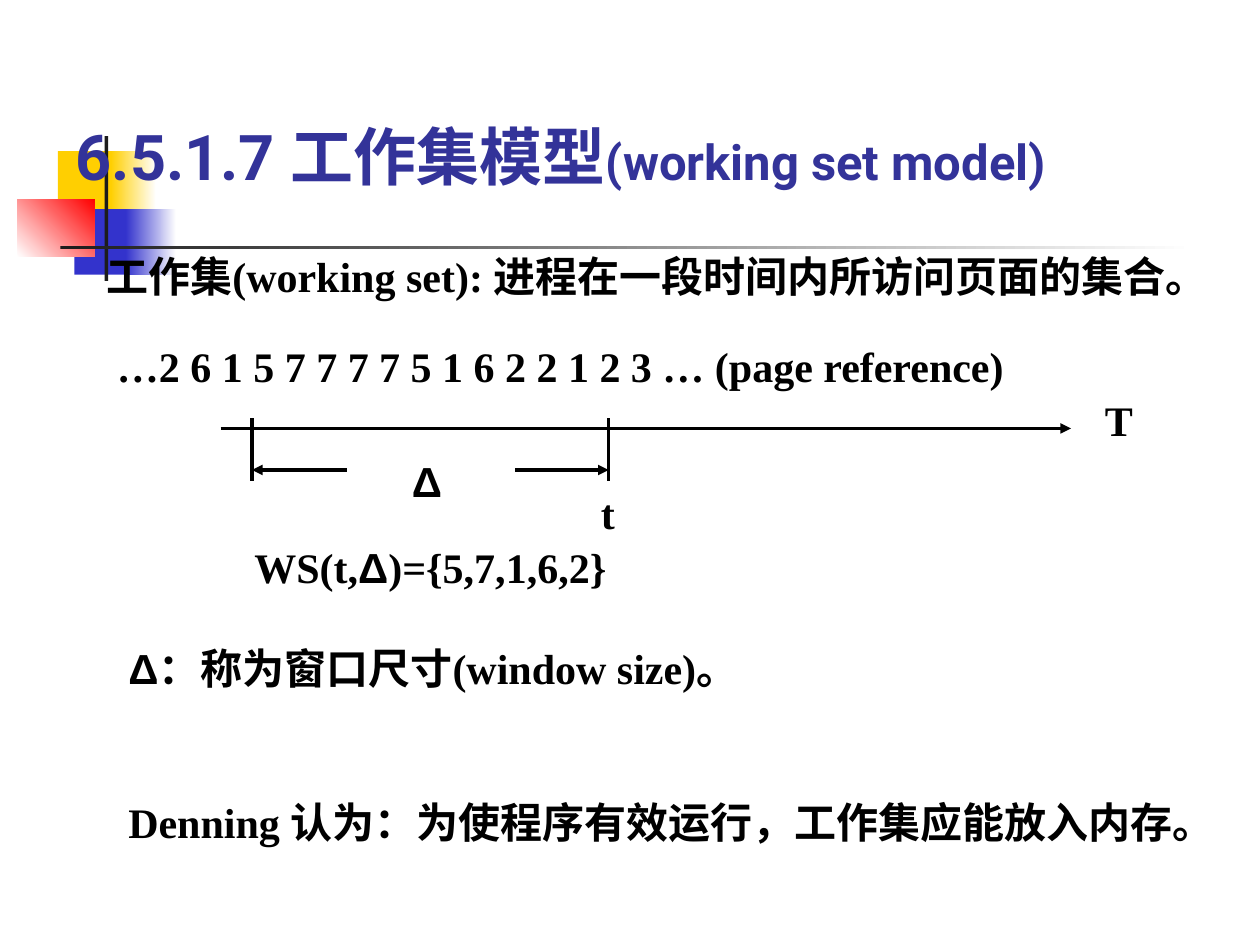
from dataclasses import dataclass

from lxml import etree
from pptx import Presentation
from pptx.dml.color import RGBColor
from pptx.enum.shapes import MSO_CONNECTOR, MSO_SHAPE
from pptx.enum.text import MSO_ANCHOR, PP_ALIGN
from pptx.oxml.ns import qn
from pptx.util import Inches, Pt

RECTANGLE = MSO_SHAPE.RECTANGLE
STRAIGHT = MSO_CONNECTOR.STRAIGHT
BOTTOM = MSO_ANCHOR.BOTTOM
LEFT = PP_ALIGN.LEFT
TITLE_ONLY = 5


@dataclass(frozen=True)
class Theme:
    yellow: str = "FFCF01"
    blue: str = "3333CC"
    red: str = "FF0000"
    white: str = "FFFFFF"
    rule: str = "1C1C1C"
    title: str = "333399"
    ink: str = "000000"
    title_font: str = "Roboto"
    body_font: str = "Times New Roman"
    symbol_font: str = "Arial"
    title_size: int = 36
    subtitle_size: int = 28
    body_size: int = 24
    axis_width: float = 2
    tick_width: float = 1.75


THEME = Theme()


def color(value):
    return RGBColor.from_string(value)


def add_block(slide, box, start, end=None, angle=0):
    shape = slide.shapes.add_shape(RECTANGLE, *map(Inches, box))
    shape.shadow.inherit = False
    shape.line.fill.background()
    if end is None:
        shape.fill.solid()
        shape.fill.fore_color.rgb = color(start)
        return
    shape.fill.gradient()
    shape.fill.gradient_angle = angle
    for stop, value in zip(shape.fill.gradient_stops, (start, end)):
        stop.color.rgb = color(value)


def add_line(slide, start, end, width, arrow=False):
    line = slide.shapes.add_connector(STRAIGHT, *map(Inches, start + end))
    line.line.color.rgb = color(THEME.ink)
    line.line.width = Pt(width)
    if arrow:
        etree.SubElement(line.line._get_or_add_ln(), qn("a:tailEnd"), type="triangle")
    etree.SubElement(line.element.spPr, qn("a:effectLst"))


def write_paragraph(paragraph, *parts):
    paragraph.font.size = Pt(THEME.body_size)
    paragraph.font.bold = True
    paragraph.font.color.rgb = color(THEME.ink)
    fonts = [THEME.symbol_font if text == "Δ" else THEME.body_font for text in parts]
    if len(set(fonts)) == 1:
        paragraph.font.name = fonts[0]
    for text, font in zip(parts, fonts):
        run = paragraph.add_run()
        run.text = text
        if len(set(fonts)) > 1:
            run.font.name = font


def add_text(slide, box, *parts):
    frame = slide.shapes.add_textbox(*map(Inches, box)).text_frame
    frame.word_wrap = True
    write_paragraph(frame.paragraphs[0], *parts)
    return frame


def build_ornament(slide, left, top):
    add_block(slide, (left + 0.32, top + 0.12, 0.48, 0.52), THEME.yellow)
    add_block(slide, (left + 0.74, top + 0.12, 0.36, 0.52), THEME.yellow, THEME.white)
    add_block(slide, (left + 0.45, top + 0.58, 0.46, 0.52), THEME.blue)
    add_block(slide, (left + 0.86, top + 0.58, 0.4, 0.52), THEME.blue, THEME.white)
    add_block(slide, (left, top + 0.5, 0.61, 0.46), THEME.white, THEME.red, 45)
    add_block(slide, (left + 0.69, top, 0.03, 1.15), THEME.rule)
    add_block(slide, (left + 0.34, top + 0.87, 9, 0.03), THEME.rule, THEME.white)


def build_title(slide, box):
    title = slide.shapes.title
    title.left, title.top, title.width, title.height = map(Inches, box)
    title.element.getparent().append(title.element)
    frame = title.text_frame
    frame.vertical_anchor = BOTTOM
    frame.word_wrap = True
    paragraph = frame.paragraphs[0]
    paragraph.alignment = LEFT
    paragraph.font.name = THEME.title_font
    paragraph.font.bold = True
    paragraph.font.color.rgb = color(THEME.title)
    for text, size in (
        ("6.5.1.7 工作集模型", THEME.title_size),
        ("(working set model)", THEME.subtitle_size),
    ):
        run = paragraph.add_run()
        run.text = text
        run.font.size = Pt(size)


def build_timeline(slide, left, top, width):
    axis = top + 0.08
    window = axis + 0.33
    window_start, window_end = left + 0.25, left + 3.08
    add_line(slide, (left, axis), (left + width, axis), THEME.axis_width, True)
    for x, inward in ((window_start, 0.75), (window_end, -0.74)):
        add_line(slide, (x, top), (x, top + 0.5), THEME.tick_width)
        add_line(slide, (x + inward, window), (x, window), THEME.axis_width, True)
    add_text(slide, (left + 1.42, top + 0.25, 0.58, 0.5), "Δ")
    add_text(slide, (window_end - 0.16, top + 0.5, 0.5, 0.5), "t")
    add_text(slide, (left + width + 0.17, top - 0.24, 0.58, 0.5), "T")


def build_notes(slide, box):
    frame = add_text(slide, box, "Δ", "：称为窗口尺寸(window size)。")
    paragraph = frame.add_paragraph()
    paragraph.space_before = Pt(59)
    write_paragraph(paragraph, "Denning 认为：为使程序有效运行，工作集应能放入内存。")


def main():
    presentation = Presentation()
    presentation.slide_width = Inches(10)
    presentation.slide_height = Inches(7.5)
    slide = presentation.slides.add_slide(presentation.slide_layouts[TITLE_ONLY])
    build_ornament(slide, 0.14, 1.08)
    build_title(slide, (0.5, 0.33, 8.92, 1.25))
    add_text(slide, (0.67, 1.94, 8.83, 0.9),
             " 工作集(working set): 进程在一段时间内所访问页面的集合。")
    add_text(slide, (0.83, 2.65, 8.42, 0.5),
             "…2 6 1 5 7 7 7 7 5 1 6 2 2 1 2 3 … (page reference)")
    build_timeline(slide, 1.75, 3.32, 6.75)
    add_text(slide, (1.92, 4.25, 3, 0.5), "WS(t,", "Δ", ")={5,7,1,6,2}")
    build_notes(slide, (0.92, 5.05, 8.73, 1.72))
    presentation.save("out.pptx")


if __name__ == "__main__":
    main()
